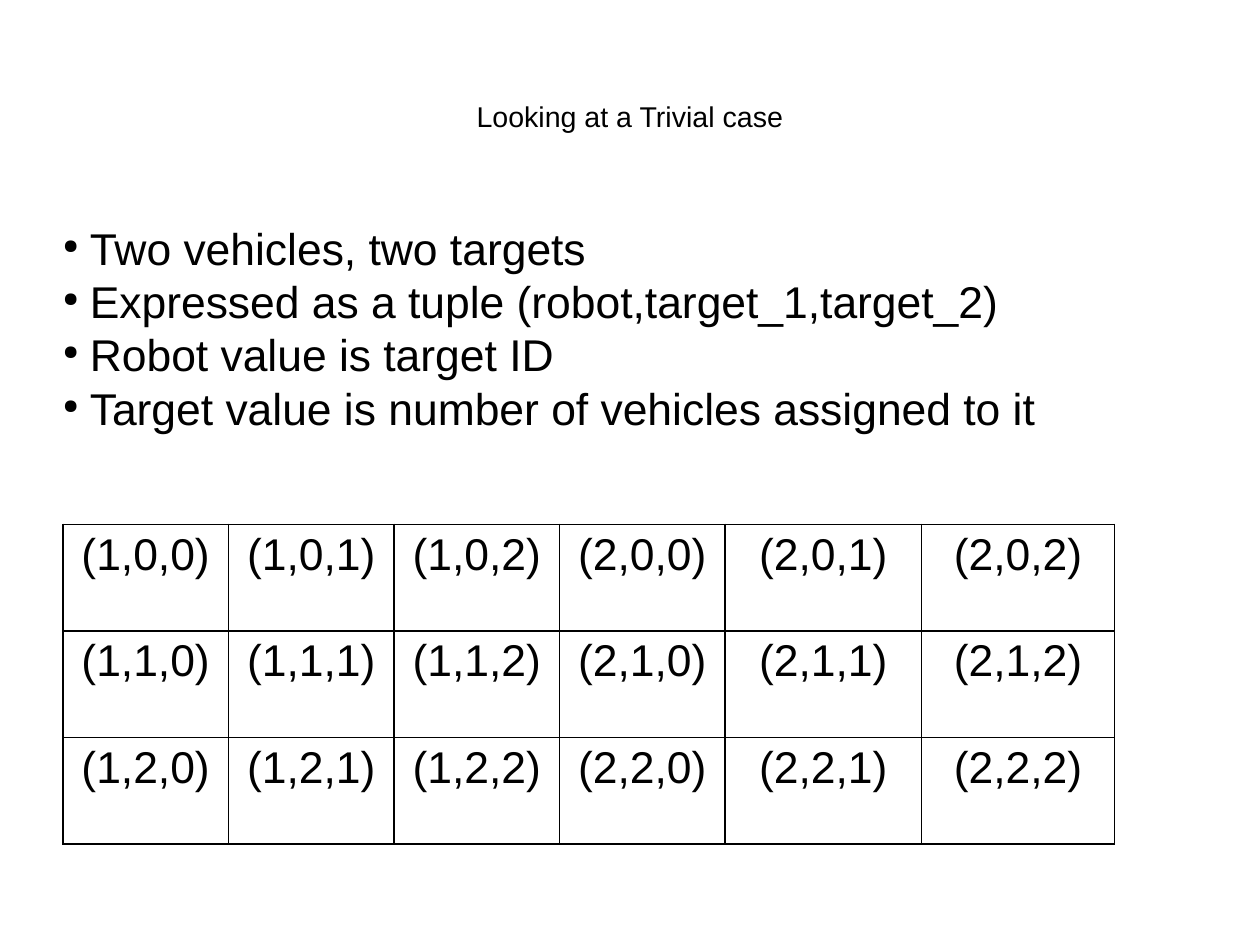
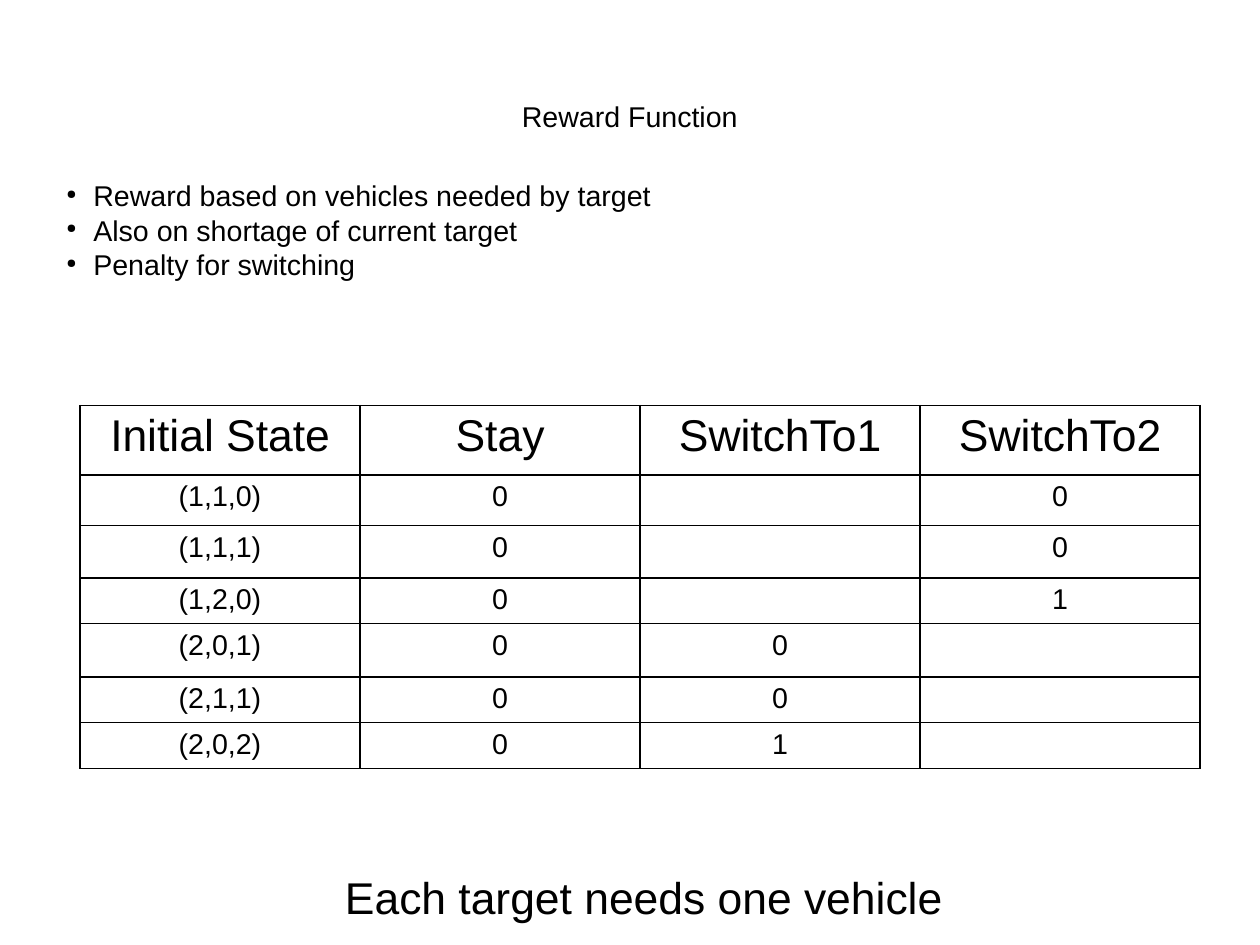
from lxml import etree
from pptx import Presentation
from pptx.dml.color import RGBColor
from pptx.enum import text
from pptx.oxml import ns
from pptx.util import Pt

# Content; boxes are left, top, width, height
SLIDES = [
    {
        "title": "Looking at a Trivial case",
        "bullets": [
            "Two vehicles, two targets",
            "Expressed as a tuple (robot,target_1,target_2)",
            "Robot value is target ID",
            "Target value is number of vehicles assigned to it",
        ],
        "bullet_box": (39.6, 139, 698.4, 345),
        "bullet_size": 28,
        "table": [
            [f"({robot},{first},{second})" for robot in (1, 2) for second in range(3)]
            for first in range(3)
        ],
        "table_at": (39.6, 330.2),
        "columns": [104.3] * 4 + [123.8, 121.5],
        "rows": [67.2] * 3,
        "row_sizes": [28] * 3,
    },
    {
        "title": "Reward Function",
        "bullets": [
            "Reward based on vehicles needed by target",
            "Also on shortage of current target",
            "Penalty for switching",
        ],
        "bullet_box": (41.8, 112.3, 698.4, 345),
        "bullet_size": 18,
        "table": [
            ["Initial State", "Stay", "SwitchTo1", "SwitchTo2"],
            ["(1,1,0)", "0", "", "0"],
            ["(1,1,1)", "0", "", "0"],
            ["(1,2,0)", "0", "", "1"],
            ["(2,0,1)", "0", "0", ""],
            ["(2,1,1)", "0", "0", ""],
            ["(2,0,2)", "0", "1", ""],
        ],
        "table_at": (50.4, 255.4),
        "columns": [176.4] * 4,
        "rows": [43.9, 31.7, 33.1, 27.9, 33.5, 28.1, 27.9],
        "row_sizes": [28] + [18] * 6,
        "caption": "Each target needs one vehicle",
    },
]

# Shared style
COLORS = {"ink": "000000", "paper": "FFFFFF"}
FONT, BULLET_FONT = "Arial", "StarSymbol"
SLIDE_SIZE = (793.7, 595.28)
TITLE_BOX = (39.6, 23.5, 714.2, 99.4)
CAPTION_BOX = (164.2, 545.8, 482.4, 38.2)
TITLE_SIZE, CAPTION_SIZE = 18, 28
BULLET_INDENT = 17
BORDER_WIDTH = 1


def style(paragraph, size, centered=True):
    font = paragraph.font
    font.name, font.size, font.bold = FONT, Pt(size), False
    font.color.rgb = RGBColor.from_string(COLORS["ink"])
    paragraph.alignment = text.PP_ALIGN.CENTER if centered else text.PP_ALIGN.LEFT


def add_text(slide, box, lines, size, anchor=text.MSO_ANCHOR.TOP, bulleted=False):
    frame = slide.shapes.add_textbox(*map(Pt, box)).text_frame
    frame.word_wrap = True
    frame.vertical_anchor = anchor
    frame.margin_left = frame.margin_right = frame.margin_top = frame.margin_bottom = 0
    frame.text = "\n".join(lines)
    for paragraph in frame.paragraphs:
        style(paragraph, size, not bulleted)
        if bulleted:
            add_bullet(paragraph)


def add_bullet(paragraph):
    properties = paragraph._p.get_or_add_pPr()
    properties.set("marL", str(Pt(BULLET_INDENT)))
    properties.set("indent", str(-Pt(BULLET_INDENT)))
    # Bullet elements stand before the default run properties
    default = properties.find(ns.qn("a:defRPr"))
    for tag, attributes in (
        ("a:buSzPct", {"val": "45000"}),
        ("a:buFont", {"typeface": BULLET_FONT}),
        ("a:buChar", {"char": "●"}),
    ):
        default.addprevious(etree.Element(ns.qn(tag), attributes))


def set_empty_size(paragraph, size):
    # An empty cell takes its line height from the end mark
    end = etree.SubElement(paragraph._p, ns.qn("a:endParaRPr"), sz=str(size * 100))
    etree.SubElement(end, ns.qn("a:latin"), typeface=FONT)


def add_borders(cell):
    properties = cell._tc.get_or_add_tcPr()
    for side in ("lnL", "lnR", "lnT", "lnB"):
        line = etree.SubElement(properties, ns.qn("a:" + side), w=str(Pt(BORDER_WIDTH)))
        fill = etree.SubElement(line, ns.qn("a:solidFill"))
        etree.SubElement(fill, ns.qn("a:srgbClr"), val=COLORS["ink"])


def add_table(slide, content):
    values, widths, heights = content["table"], content["columns"], content["rows"]
    box = (*content["table_at"], sum(widths), sum(heights))
    table = slide.shapes.add_table(len(heights), len(widths), *map(Pt, box)).table
    table.first_row = table.horz_banding = False
    for column, width in zip(table.columns, widths):
        column.width = Pt(width)
    for row, height, row_values, size in zip(
        table.rows, heights, values, content["row_sizes"]
    ):
        row.height = Pt(height)
        for cell, value in zip(row.cells, row_values):
            cell.text = value
            paragraph = cell.text_frame.paragraphs[0]
            style(paragraph, size)
            if not value:
                set_empty_size(paragraph, size)
            add_borders(cell)
            cell.fill.solid()
            cell.fill.fore_color.rgb = RGBColor.from_string(COLORS["paper"])


def main():
    presentation = Presentation()
    presentation.slide_width, presentation.slide_height = map(Pt, SLIDE_SIZE)
    for content in SLIDES:
        slide = presentation.slides.add_slide(presentation.slide_layouts[6])
        middle = text.MSO_ANCHOR.MIDDLE
        add_text(slide, TITLE_BOX, [content["title"]], TITLE_SIZE, middle)
        add_text(slide, content["bullet_box"], content["bullets"],
                 content["bullet_size"], bulleted=True)
        add_table(slide, content)
        if "caption" in content:
            add_text(slide, CAPTION_BOX, [content["caption"]], CAPTION_SIZE, middle)
    presentation.save("out.pptx")


if __name__ == "__main__":
    main()
